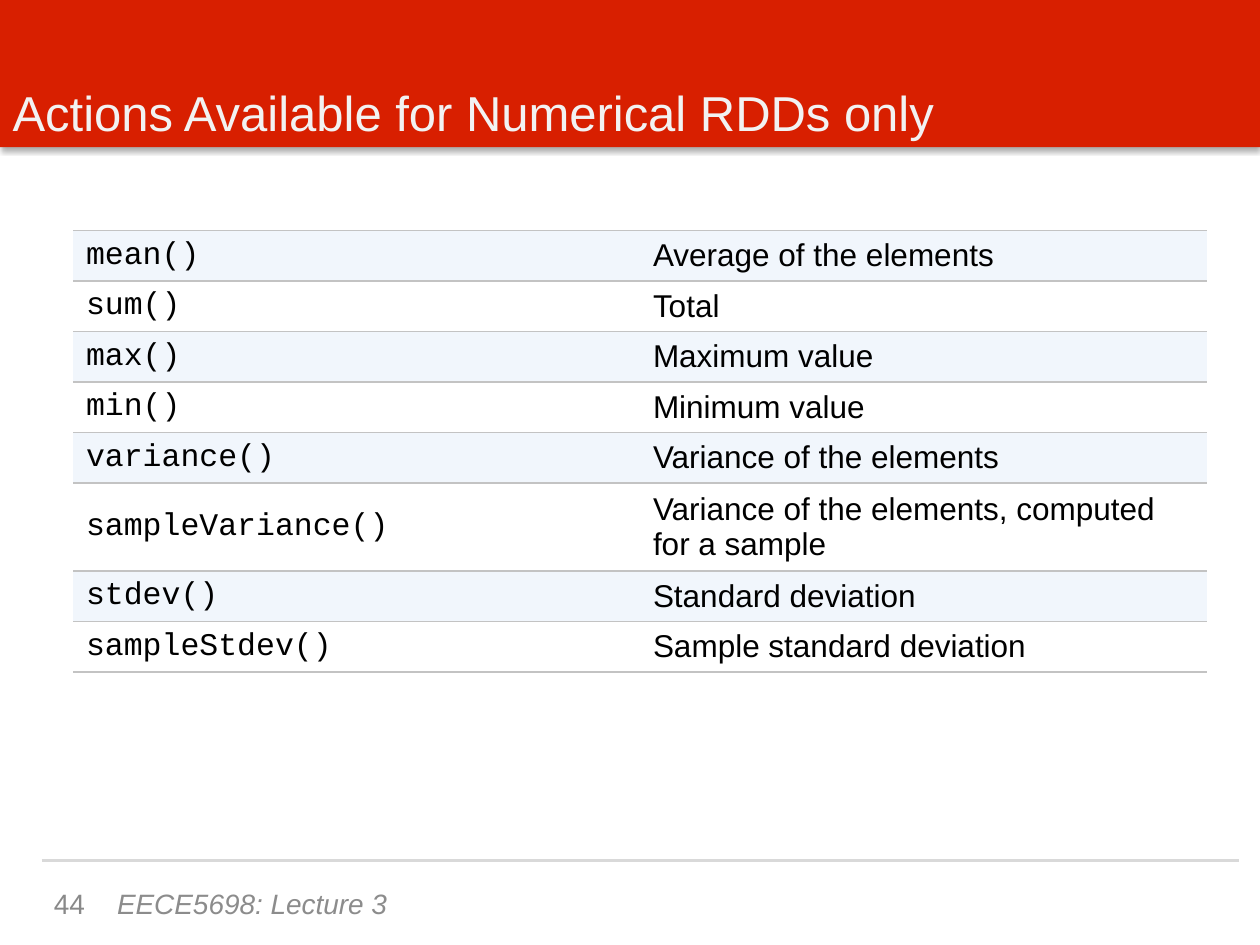
from dataclasses import dataclass

from lxml.etree import SubElement
from pptx import Presentation
from pptx.dml.color import RGBColor
from pptx.enum.shapes import MSO_CONNECTOR, MSO_SHAPE
from pptx.enum.text import MSO_ANCHOR, MSO_AUTO_SIZE, PP_ALIGN
from pptx.oxml.ns import qn
from pptx.util import Cm, Pt

COLORS = {
    "band": "D81F00",
    "title": "F2F2F2",
    "footer": "8C8C8C",
    "number": "898989",
    "footer_rule": "D9D9D9",
    "row_border": "C3C3C3",
    "row_tint": "F1F6FC",
    "row_plain": "FFFFFF",
    "text": "000000",
    "shadow": "000000",
}
SLIDE_WIDTH, SLIDE_HEIGHT = Cm(25.4), Cm(19.05)
BAND_HEIGHT = Cm(2.97)
ROW_HEIGHT, TALL_ROW_HEIGHT = Cm(0.97), Cm(1.67)


@dataclass
class Action:
    call: str
    meaning: str
    height: int = ROW_HEIGHT


@dataclass
class FooterText:
    text: str
    left: float
    width: float
    color: str
    align: PP_ALIGN = PP_ALIGN.LEFT
    italic: bool = False


ACTIONS = [
    Action("mean()", "Average of the elements"),
    Action("sum()", "Total"),
    Action("max()", "Maximum value"),
    Action("min()", "Minimum value"),
    Action("variance()", "Variance of the elements"),
    Action("sampleVariance()", "Variance of the elements, computed for a sample",
           TALL_ROW_HEIGHT),
    Action("stdev()", "Standard deviation"),
    Action("sampleStdev()", "Sample standard deviation"),
]
FOOTER_TEXTS = [
    FooterText("EECE5698: Lecture 3", 2.11, 15.29, "footer", italic=True),
    FooterText("44", 0.69, 1.27, "number", align=PP_ALIGN.RIGHT),
]


def rgb(name: str) -> RGBColor:
    return RGBColor.from_string(COLORS[name])


def set_font(para, name: str, size: int, color: str, italic: bool = False) -> None:
    para.font.name = name
    para.font.size = Pt(size)
    para.font.italic = italic
    para.font.color.rgb = rgb(color)


def add_color(parent, name: str):
    return SubElement(parent, qn("a:srgbClr"), val=COLORS[name])


def add_title_band(page) -> None:
    """Place the shadowed band behind the title placeholder."""
    band = page.shapes.add_shape(MSO_SHAPE.RECTANGLE, 0, 0, SLIDE_WIDTH, BAND_HEIGHT)
    band.fill.solid()
    band.fill.fore_color.rgb = rgb("band")
    band.line.fill.background()
    effects = SubElement(band.element.spPr, qn("a:effectLst"))
    shadow = SubElement(effects, qn("a:outerShdw"), blurRad=str(Pt(3.1)),
                        dist=str(Pt(1.8)), dir="5400000", rotWithShape="0")
    SubElement(add_color(shadow, "shadow"), qn("a:alpha"), val="35000")
    page.shapes.title.element.addprevious(band.element)


def format_title(page, text: str) -> None:
    title = page.shapes.title
    title.left, title.top, title.width, title.height = 0, 0, SLIDE_WIDTH, BAND_HEIGHT
    frame = title.text_frame
    frame.text = text
    frame.auto_size = MSO_AUTO_SIZE.NONE
    frame.vertical_anchor = MSO_ANCHOR.BOTTOM
    para = frame.paragraphs[0]
    para.alignment = PP_ALIGN.LEFT
    set_font(para, "Arial", 28, "title")


def add_footer_rule(page) -> None:
    rule = page.shapes.add_connector(
        MSO_CONNECTOR.STRAIGHT, Cm(0.84), Cm(17.35), Cm(24.97), Cm(17.35))
    rule.line.color.rgb = rgb("footer_rule")
    rule.line.width = Pt(2)
    SubElement(rule.element.spPr, qn("a:effectLst"))


def add_footer_text(page, item: FooterText) -> None:
    box = page.shapes.add_textbox(Cm(item.left), Cm(17.7), Cm(item.width), Cm(1.02))
    frame = box.text_frame
    frame.word_wrap = True
    frame.vertical_anchor = MSO_ANCHOR.MIDDLE
    frame.text = item.text
    para = frame.paragraphs[0]
    para.alignment = item.align
    set_font(para, "Arial", 16, item.color, item.italic)


def add_cell_borders(cell) -> None:
    """Rule the cell above and below, leaving its sides open."""
    properties = cell._tc.get_or_add_tcPr()
    for side in ("L", "R", "T", "B"):
        border = SubElement(properties, qn(f"a:ln{side}"), w=str(Pt(1)))
        if side in "TB":
            add_color(SubElement(border, qn("a:solidFill")), "row_border")
        else:
            SubElement(border, qn("a:noFill"))


def fill_cell(cell, text: str, font: str, fill: str) -> None:
    add_cell_borders(cell)
    cell.fill.solid()
    cell.fill.fore_color.rgb = rgb(fill)
    cell.vertical_anchor = MSO_ANCHOR.MIDDLE
    cell.text = text
    set_font(cell.text_frame.paragraphs[0], font, 18, "text")


def add_action_table(page, actions: list[Action]) -> None:
    height = sum(action.height for action in actions)
    table = page.shapes.add_table(
        len(actions), 2, Cm(1.48), Cm(4.65), Cm(22.86), height).table
    table.first_row = False
    table.horz_banding = False
    for index, action in enumerate(actions):
        table.rows[index].height = action.height
        fill = "row_plain" if index % 2 else "row_tint"
        fill_cell(table.cell(index, 0), action.call, "Courier New", fill)
        fill_cell(table.cell(index, 1), action.meaning, "Arial", fill)


def main() -> None:
    deck = Presentation()
    deck.slide_width, deck.slide_height = SLIDE_WIDTH, SLIDE_HEIGHT
    page = deck.slides.add_slide(deck.slide_layouts[5])
    add_title_band(page)
    format_title(page, "Actions Available for Numerical RDDs only")
    add_footer_rule(page)
    for item in FOOTER_TEXTS:
        add_footer_text(page, item)
    add_action_table(page, ACTIONS)
    deck.save("out.pptx")


if __name__ == "__main__":
    main()
